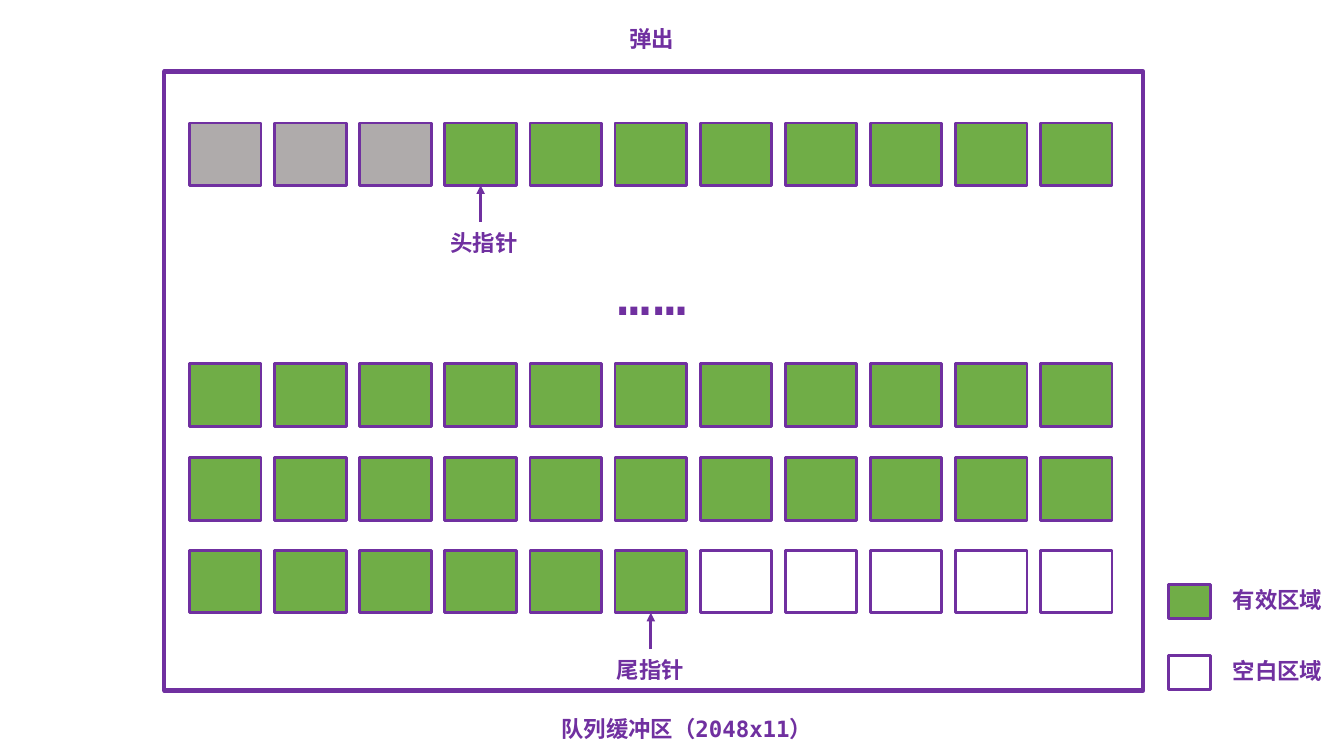
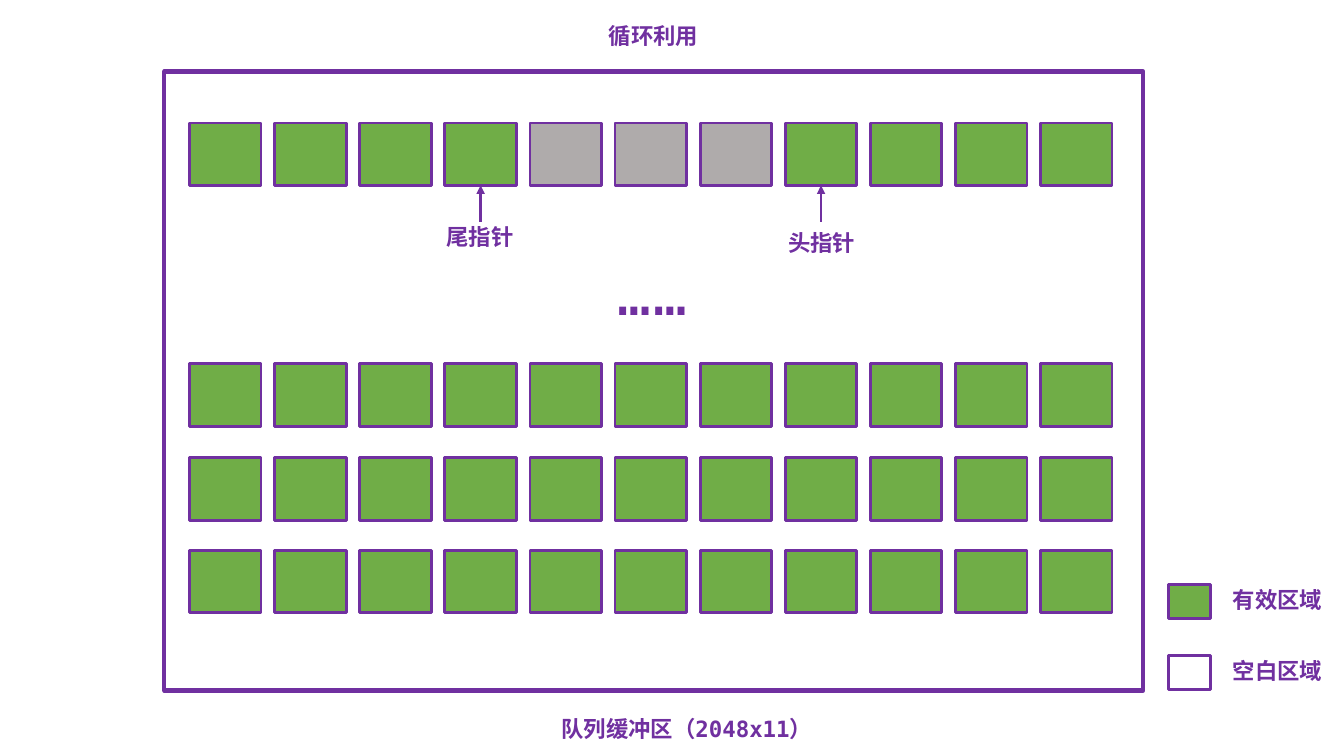
from lxml.etree import SubElement
from pptx import Presentation
from pptx.dml.color import RGBColor
from pptx.enum.shapes import MSO_CONNECTOR, MSO_SHAPE
from pptx.enum.text import MSO_AUTO_SIZE
from pptx.oxml.ns import qn
from pptx.util import Inches, Pt

COLORS = {"ink": "7030A0", "valid": "70AD47", "popped": "AFABAB", "paper": "FFFFFF"}
CODES = {"v": "valid", "p": "popped", "e": None}
SANS = "Noto Sans CJK SC"
MONO = "DejaVu Sans Mono"

LEFT, LAST, COUNT = 1.88, 10.32, 11
STEP = (LAST - LEFT) / (COUNT - 1)
TOPS = (1.22, 3.61, 4.54, 5.46)
WIDE, HIGH = 0.71, 0.62
STEM = 0.36

FULL = "v" * COUNT
SLIDES = (
    {
        "title": ("弹出", 6.14, 0.2, 0.98),
        "rows": ("pppvvvvvvvv", FULL, FULL, "vvvvvveeeee"),
        "marks": (
            (0, 3, "头指针", 4.37, 2.22, 0.98),
            (3, 5, "尾指针", 6.02, 6.46, 0.89),
        ),
    },
    {
        "title": ("循环利用", 5.94, 0.17, 1.37),
        "rows": ("vvvvpppvvvv", FULL, FULL, FULL),
        "marks": (
            (0, 3, "尾指针", 4.33, 2.16, 0.89),
            (0, 7, "头指针", 7.72, 2.22, 0.98),
        ),
    },
)


def tint(name):
    return RGBColor.from_string(COLORS[name])


def add_box(slide, x, y, w, h, fill, line=2):
    box = slide.shapes.add_shape(
        MSO_SHAPE.RECTANGLE, Inches(x), Inches(y), Inches(w), Inches(h)
    )
    box.shadow.inherit = False
    if fill:
        box.fill.solid()
        box.fill.fore_color.rgb = tint(fill)
    else:
        box.fill.background()
    box.line.color.rgb = tint("ink")
    box.line.width = Pt(line)
    return box


def style_run(run, font, size, bold):
    run.font.name = font
    run.font.size = Pt(size)
    run.font.bold = bold
    run.font.color.rgb = tint("ink")
    SubElement(run.font._element, qn("a:ea")).set("typeface", font)


def add_text(shapes, parts, x, y, w, h=0.37, size=16, bold=True):
    box = shapes.add_textbox(Inches(x), Inches(y), Inches(w), Inches(h))
    frame = box.text_frame
    frame.word_wrap = True
    frame.auto_size = MSO_AUTO_SIZE.SHAPE_TO_FIT_TEXT
    for text, font in parts:
        run = frame.paragraphs[0].add_run()
        run.text = text
        style_run(run, font, size, bold)
    return box


def add_label(slide, text, x, y, w):
    add_text(slide.shapes, [(text, SANS)], x, y, w)


def add_arrow(slide, cell, x, y):
    arrow = slide.shapes.add_connector(
        MSO_CONNECTOR.STRAIGHT, Inches(x), Inches(y + STEM), Inches(x), Inches(y)
    )
    arrow.end_connect(cell, 2)
    arrow.line.color.rgb = tint("ink")
    arrow.line.width = Pt(2)
    SubElement(arrow.line._get_or_add_ln(), qn("a:tailEnd")).set("type", "triangle")
    SubElement(arrow._element.spPr, qn("a:effectLst"))


def add_grid(slide, rows):
    return [
        [
            add_box(slide, LEFT + col * STEP, top, WIDE, HIGH, CODES[code])
            for col, code in enumerate(row)
        ]
        for top, row in zip(TOPS, rows)
    ]


def add_mark(slide, cells, row, col, text, x, y, w):
    mid = LEFT + col * STEP + WIDE / 2
    add_arrow(slide, cells[row][col], mid, TOPS[row] + HIGH)
    add_label(slide, text, x, y, w)


def add_dots(slide):
    group = slide.shapes.add_group_shape()
    for x in (6.03, 6.38):
        box = add_text(group.shapes, [("…", MONO)], x, 2.53, 1.06, 0.77, 40, False)
        box.text_frame.paragraphs[0].runs[0].font._element.set("spc", "-210")


def add_key(slide):
    for text, fill, y in (("有效区域", "valid", 5.8), ("空白区域", None, 6.5)):
        add_box(slide, 11.59, y, 0.42, 0.34, fill)
        add_label(slide, text, 12.13, y - 0.03, 1.12)


def add_queue(deck, data):
    slide = deck.slides.add_slide(deck.slide_layouts[6])
    add_box(slide, 1.63, 0.71, 9.71, 6.14, "paper", 3)
    cells = add_grid(slide, data["rows"])
    for mark in data["marks"]:
        add_mark(slide, cells, *mark)
    add_label(slide, *data["title"])
    add_key(slide)
    add_dots(slide)
    parts = [("队列缓冲区（", SANS), ("2048x11", MONO), ("）", SANS)]
    add_text(slide.shapes, parts, 5.47, 7.05, 3.46)


def main():
    deck = Presentation()
    deck.slide_width = Inches(13.33)
    deck.slide_height = Inches(7.5)
    for data in SLIDES:
        add_queue(deck, data)
    deck.save("out.pptx")


if __name__ == "__main__":
    main()
